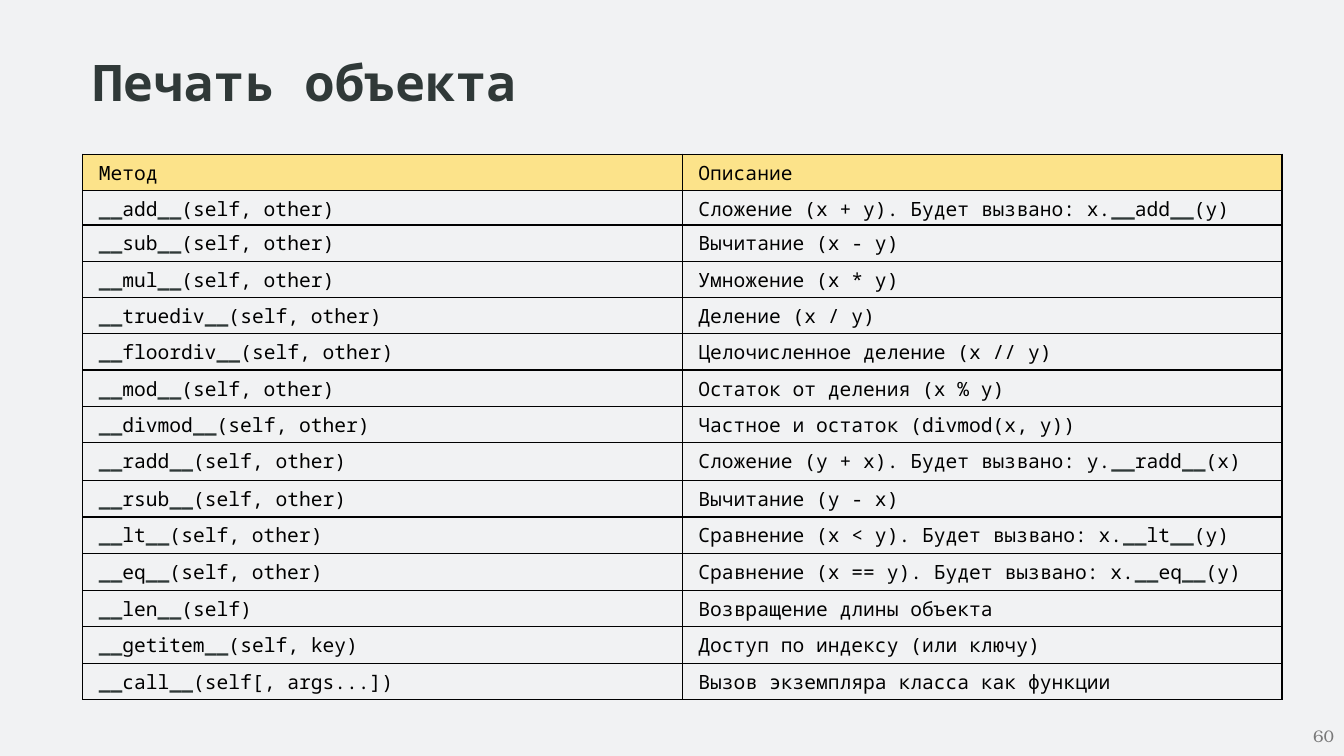
from dataclasses import dataclass

from lxml.etree import SubElement
from pptx import Presentation
from pptx.dml.color import RGBColor
from pptx.enum.text import MSO_ANCHOR, MSO_AUTO_SIZE, PP_ALIGN
from pptx.oxml.ns import qn
from pptx.slide import Slide
from pptx.table import _Cell as Cell
from pptx.text.text import _Paragraph as Paragraph
from pptx.util import Emu, Inches, Pt

PAPER = RGBColor(0xF1, 0xF2, 0xF3)
SLATE = RGBColor(0x30, 0x39, 0x38)
BLACK = RGBColor(0x00, 0x00, 0x00)
YELLOW = RGBColor(0xFC, 0xE3, 0x8A)
GREY = RGBColor(0x79, 0x79, 0x79)
MONO = "Noto Sans Mono"
SERIF = "TeX Gyre Bonum"

SLIDE_WIDTH, SLIDE_HEIGHT = Inches(13.33), Inches(7.5)
DUNDER = "__"


@dataclass(frozen=True)
class Box:
    """A place on the slide, in percent of its width and height."""
    left: float
    top: float
    width: float
    height: float

    def emu(self) -> tuple[Emu, Emu, Emu, Emu]:
        return (across(self.left), down(self.top),
                across(self.width), down(self.height))


@dataclass(frozen=True)
class MethodRow:
    """One table row; its height is counted in standard rows."""
    signature: str
    meaning: str
    height: float = 1


def across(percent: float) -> Emu:
    return Emu(round(SLIDE_WIDTH * percent / 100))


def down(percent: float) -> Emu:
    return Emu(round(SLIDE_HEIGHT * percent / 100))


ROW_SHARE, COLUMN_SHARE = 4.8, 44.62
TITLE_BOX = Box(6.15, 6.15, 33.4, 9.47)
TABLE_BOX = Box(6.15, 20.4, 2 * COLUMN_SHARE, 71.73)
PAGE_BOX = Box(77.5, 94.67, 22.5, 5.33)

METHOD_ROWS = [
    MethodRow("Метод", "Описание"),
    MethodRow("__add__(self, other)",
              "Сложение (x + y). Будет вызвано: x.__add__(y)", 0.95),
    MethodRow("__sub__(self, other)", "Вычитание (x - y)"),
    MethodRow("__mul__(self, other)", "Умножение (x * y)"),
    MethodRow("__truediv__(self, other)", "Деление (x / y)"),
    MethodRow("__floordiv__(self, other)", "Целочисленное деление (x // y)"),
    MethodRow("__mod__(self, other)", "Остаток от деления (x % y)"),
    MethodRow("__divmod__(self, other)", "Частное и остаток (divmod(x, y))"),
    MethodRow("__radd__(self, other)",
              "Сложение (y + x). Будет вызвано: y.__radd__(x)", 1.05),
    MethodRow("__rsub__(self, other)", "Вычитание (y - x)"),
    MethodRow("__lt__(self, other)",
              "Сравнение (x < y). Будет вызвано: x.__lt__(y)"),
    MethodRow("__eq__(self, other)",
              "Сравнение (x == y). Будет вызвано: x.__eq__(y)", 1.03),
    MethodRow("__len__(self)", "Возвращение длины объекта"),
    MethodRow("__getitem__(self, key)", "Доступ по индексу (или ключу)"),
    MethodRow("__call__(self[, args...])",
              "Вызов экземпляра класса как функции"),
]


def add_run(paragraph: Paragraph, text: str, font: str, size: float,
            color: RGBColor, bold: bool = False) -> None:
    run = paragraph.add_run()
    run.text = text
    run.font.name, run.font.size, run.font.bold = font, Pt(size), bold
    run.font.color.rgb = color


def write_code(paragraph: Paragraph, text: str) -> None:
    """Write the text with its double underscores bold and slate."""
    for index, piece in enumerate(text.split(DUNDER)):
        if index:
            add_run(paragraph, DUNDER, MONO, 14, SLATE, bold=True)
        if piece:
            add_run(paragraph, piece, MONO, 14, BLACK)


def add_borders(cell: Cell) -> None:
    properties = cell._tc.get_or_add_tcPr()
    for side in ("a:lnL", "a:lnR", "a:lnT", "a:lnB"):
        line = SubElement(properties, qn(side), w=str(Pt(1)))
        fill = SubElement(line, qn("a:solidFill"))
        SubElement(fill, qn("a:srgbClr"), val=str(BLACK))


def fill_cell(cell: Cell, text: str, is_header: bool) -> None:
    cell.margin_left, cell.margin_top = Inches(0.16), Inches(0.05)
    cell.margin_right = cell.margin_bottom = 0
    add_borders(cell)
    if is_header:
        cell.fill.solid()
        cell.fill.fore_color.rgb = YELLOW
    else:
        cell.fill.background()
    write_code(cell.text_frame.paragraphs[0], text)


def add_title(slide: Slide, text: str) -> None:
    title = slide.shapes.title
    title.left, title.top, title.width, title.height = TITLE_BOX.emu()
    frame = title.text_frame
    frame.word_wrap = False
    frame.auto_size = MSO_AUTO_SIZE.SHAPE_TO_FIT_TEXT
    frame.vertical_anchor = MSO_ANCHOR.TOP
    frame.paragraphs[0].alignment = PP_ALIGN.LEFT
    add_run(frame.paragraphs[0], text, MONO, 36, SLATE, bold=True)


def add_method_table(slide: Slide) -> None:
    table = slide.shapes.add_table(
        len(METHOD_ROWS), 2, *TABLE_BOX.emu()).table
    table.first_row = table.horz_banding = False
    for column in table.columns:
        column.width = across(COLUMN_SHARE)
    for index, method in enumerate(METHOD_ROWS):
        table.rows[index].height = down(ROW_SHARE * method.height)
        for column, text in enumerate((method.signature, method.meaning)):
            fill_cell(table.cell(index, column), text, is_header=index == 0)


def add_page_number(slide: Slide, number: str) -> None:
    frame = slide.shapes.add_textbox(*PAGE_BOX.emu()).text_frame
    frame.word_wrap = True
    frame.vertical_anchor = MSO_ANCHOR.MIDDLE
    frame.paragraphs[0].alignment = PP_ALIGN.RIGHT
    add_run(frame.paragraphs[0], number, SERIF, 12, GREY)


def main() -> None:
    deck = Presentation()
    deck.slide_width, deck.slide_height = SLIDE_WIDTH, SLIDE_HEIGHT
    slide = deck.slides.add_slide(deck.slide_layouts.get_by_name("Title Only"))
    slide.background.fill.solid()
    slide.background.fill.fore_color.rgb = PAPER
    add_title(slide, "Печать объекта")
    add_method_table(slide)
    add_page_number(slide, "60")
    deck.save("out.pptx")


if __name__ == "__main__":
    main()
